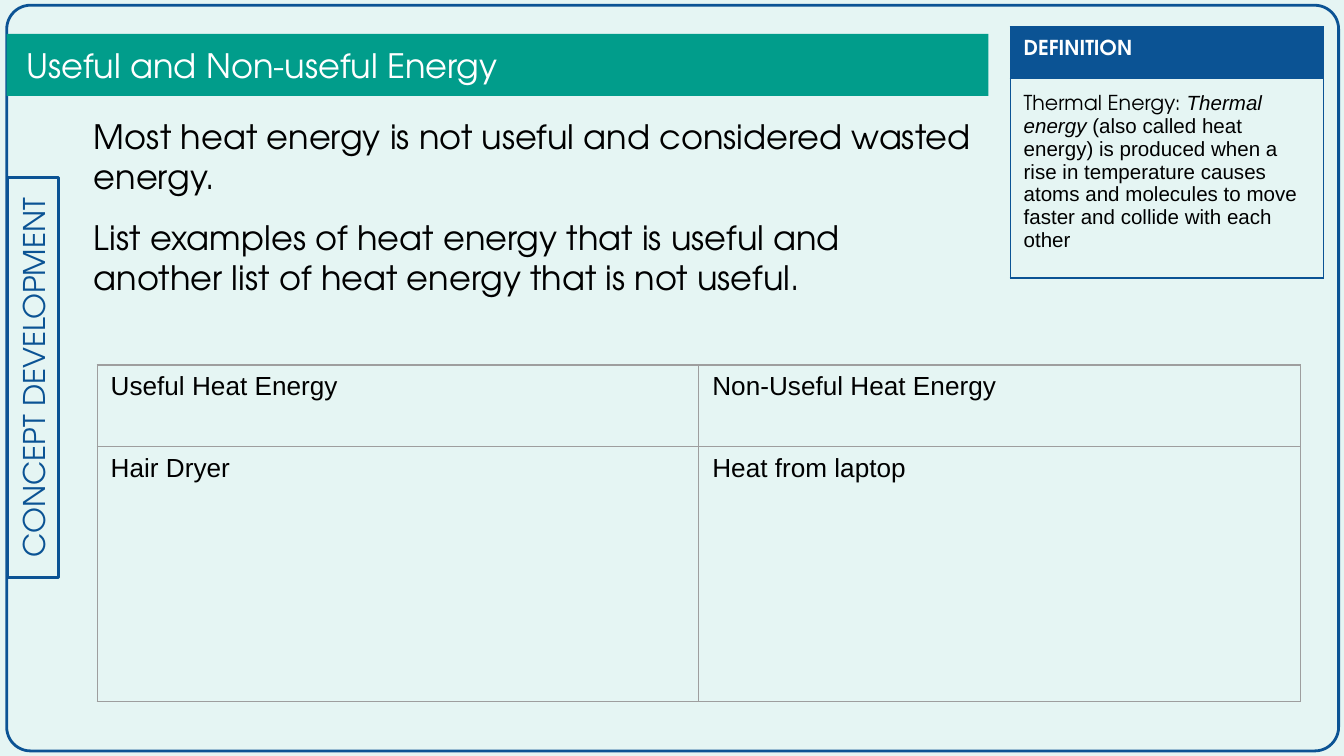
from dataclasses import dataclass

from lxml import etree
from pptx import Presentation
from pptx.dml.color import RGBColor
from pptx.enum.shapes import MSO_SHAPE
from pptx.enum.text import MSO_ANCHOR, PP_ALIGN
from pptx.oxml.ns import qn
from pptx.util import Pt

RECT = MSO_SHAPE.RECTANGLE
ROUND = MSO_SHAPE.ROUNDED_RECTANGLE
MIDDLE = MSO_ANCHOR.MIDDLE
TOP = MSO_ANCHOR.TOP
LEFT = PP_ALIGN.LEFT
CENTER = PP_ALIGN.CENTER


@dataclass(frozen=True)
class Theme:
    """Colours, fonts and sizes of the lesson."""
    paper: str = "E5F5F3"
    teal: str = "019D8B"
    navy: str = "0B5394"
    grid: str = "9E9E9E"
    white: str = "FFFFFF"
    black: str = "000000"
    head: str = "TeX Gyre Adventor"
    plain: str = "Arial"
    title: float = 18
    label: float = 16
    entry: float = 14
    note: float = 11
    inset: float = 7.2
    edge: float = 1.5
    rule: float = 0.75


THEME = Theme()


def style(run, size, color, face=THEME.head, bold=False, slant=False):
    """Set the look of one run."""
    font = run.font
    font.name, font.size = face, Pt(size)
    font.bold, font.italic = bold, slant
    font.color.rgb = RGBColor.from_string(color)


def write(frame, lines, size, color, align=LEFT, anchor=TOP, gap=0):
    """Fill a text frame with evenly spaced paragraphs."""
    frame.word_wrap = True
    frame.vertical_anchor = anchor
    frame.margin_left = frame.margin_right = Pt(THEME.inset)
    frame.margin_top = frame.margin_bottom = Pt(THEME.inset)
    frame.text = "\n".join(lines)
    for index, para in enumerate(frame.paragraphs):
        para.alignment = align
        para.space_before = Pt(gap if index else 0)
        style(para.runs[0], size, color)


def panel(slide, box, kind=RECT, fill=None, line=None):
    """Draw a flat shape in the box."""
    shape = slide.shapes.add_shape(kind, *map(Pt, box))
    shape.shadow.inherit = False
    if fill:
        shape.fill.solid()
        shape.fill.fore_color.rgb = RGBColor.from_string(fill)
    else:
        shape.fill.background()
    if line:
        shape.line.color.rgb = RGBColor.from_string(line)
        shape.line.width = Pt(THEME.edge)
    else:
        shape.line.fill.background()
    return shape


def border(cell, color):
    """Rule all four sides of a cell."""
    props = cell._tc.get_or_add_tcPr()
    for side in ("a:lnL", "a:lnR", "a:lnT", "a:lnB"):
        line = etree.SubElement(props, qn(side), w=str(Pt(THEME.rule)))
        fill = etree.SubElement(line, qn("a:solidFill"))
        etree.SubElement(fill, qn("a:srgbClr"), val=color)


def ruled(slide, box, rows, cols, color):
    """Add an unfilled, ruled table with the given row heights."""
    left, top, width = box
    shape = slide.shapes.add_table(
        len(rows), cols, Pt(left), Pt(top), Pt(width), Pt(sum(rows)))
    table = shape.table
    table.first_row = table.horz_banding = False
    for row, height in zip(table.rows, rows):
        row.height = Pt(height)
    for cell in table.iter_cells():
        border(cell, color)
        cell.fill.background()
    return table


def frame(slide, box):
    """Draw the rounded page border."""
    panel(slide, box, ROUND, line=THEME.navy).adjustments[0] = 0.032


def tab(slide, box, text):
    """Draw the upright side label, filling the box."""
    left, top, width, height = box
    shift = (height - width) / 2
    shape = panel(slide, (left - shift, top + shift, height, width),
                  line=THEME.navy)
    shape.rotation = 270
    write(shape.text_frame, [text], THEME.label, THEME.navy, CENTER, MIDDLE)


def banner(slide, box, text):
    """Draw the title bar with its text set in from the edge."""
    left, top, width, height = box
    panel(slide, box, fill=THEME.teal)
    title = slide.shapes.add_textbox(
        Pt(left + 3.6), Pt(top + 3), Pt(width - 7.2), Pt(height - 6))
    write(title.text_frame, [text], THEME.title, THEME.white, anchor=MIDDLE)


def body(slide, box, lines):
    """Place the main teaching text."""
    text = slide.shapes.add_textbox(*map(Pt, box))
    write(text.text_frame, lines, THEME.title, THEME.black, gap=11)


def glossary(slide, box, head, term, lead, rest):
    """Place the definition card."""
    table = ruled(slide, box, (24.8, 100), 1, THEME.navy)
    for cell in table.iter_cells():
        cell.margin_top = cell.margin_bottom = Pt(THEME.inset)
    top, note = table.iter_cells()
    top.fill.solid()
    top.fill.fore_color.rgb = RGBColor.from_string(THEME.navy)
    top.text_frame.text = head
    style(top.text_frame.paragraphs[0].runs[0], THEME.note, THEME.white,
          bold=True)
    para = note.text_frame.paragraphs[0]
    parts = ((term, THEME.head, False), (lead, THEME.plain, True),
             (rest, THEME.plain, False))
    for text, face, slant in parts:
        run = para.add_run()
        run.text = text
        style(run, THEME.note, THEME.black, face, slant=slant)


def listing(slide, box, rows):
    """Place the two-column table of examples."""
    table = ruled(slide, box, (43.8, 136.6), len(rows[0]), THEME.grid)
    for cell, text in zip(table.iter_cells(), sum(rows, ())):
        cell.text_frame.text = text
        style(cell.text_frame.paragraphs[0].runs[0], THEME.entry,
              THEME.black, THEME.plain)


def main():
    """Build and save the lesson slide."""
    deck = Presentation()
    deck.slide_width, deck.slide_height = Pt(720), Pt(405)
    slide = deck.slides.add_slide(deck.slide_layouts[6])
    back = slide.background.fill
    back.solid()
    back.fore_color.rgb = RGBColor.from_string(THEME.paper)

    frame(slide, (3.6, 2.8, 713.5, 399.5))
    tab(slide, (4.1, 95, 27.4, 214.6), "CONCEPT DEVELOPMENT")
    banner(slide, (3.6, 18.2, 526, 33.2), "Useful and Non-useful Energy")
    body(slide, (43.2, 54.7, 486, 332.6), (
        "Most heat energy is not useful and considered wasted energy.",
        "List examples of heat energy that is useful and another list "
        "of heat energy that is not useful."))
    glossary(
        slide, (541.2, 14.4, 167.8), "DEFINITION", "Thermal Energy: ",
        "Thermal energy",
        " (also called heat energy) is produced when a rise in temperature "
        "causes atoms and molecules to move faster and collide with each "
        "other")
    listing(slide, (52.1, 195.6, 644.6), (
        ("Useful Heat Energy", "Non-Useful Heat Energy"),
        ("Hair Dryer", "Heat from laptop")))
    deck.save("out.pptx")


if __name__ == "__main__":
    main()
